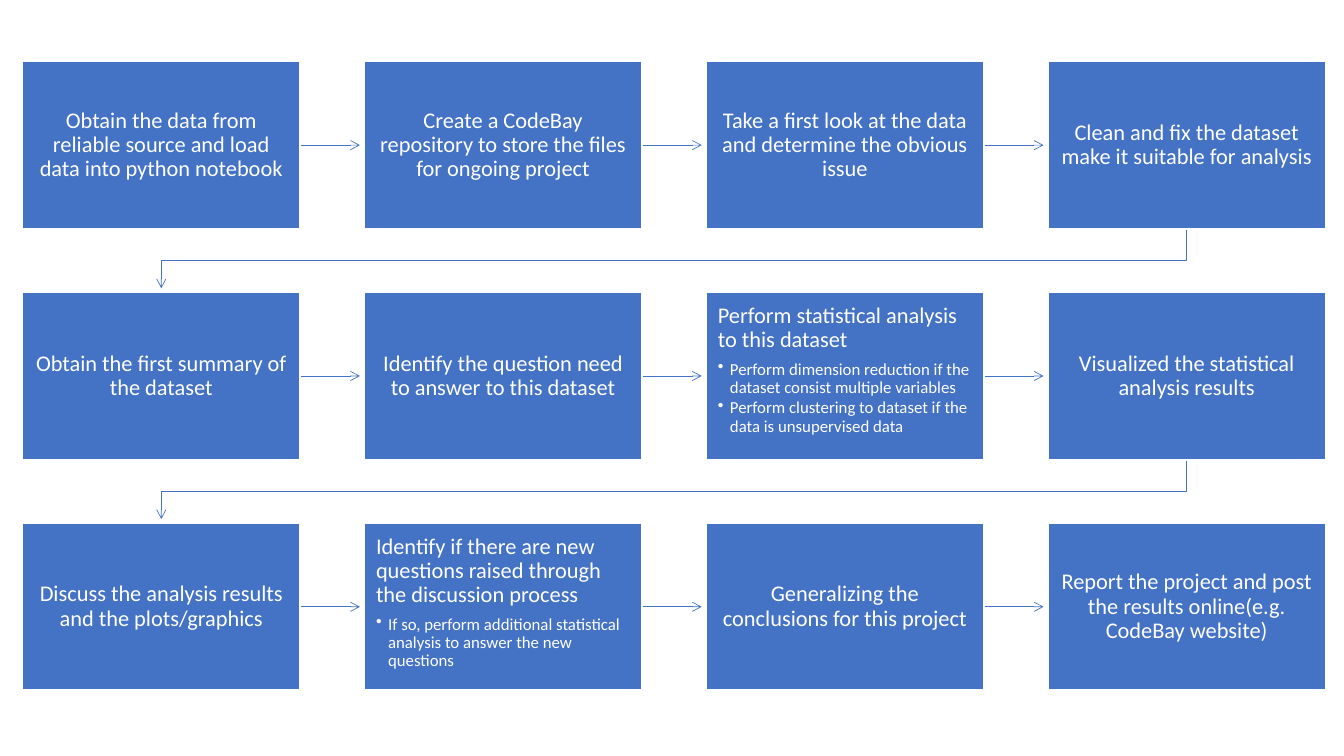
from dataclasses import dataclass

from lxml import etree
from pptx import Presentation
from pptx.dml.color import RGBColor
from pptx.enum.shapes import MSO_CONNECTOR, MSO_SHAPE
from pptx.enum.text import MSO_ANCHOR, PP_ALIGN
from pptx.oxml.ns import qn
from pptx.util import Inches, Pt

# Each step is its text and its bullet points, in reading order.
STEPS = [
    ("Obtain the data from reliable source and load data into python notebook", []),
    ("Create a CodeBay repository to store the files for ongoing project", []),
    ("Take a first look at the data and determine the obvious issue", []),
    ("Clean and fix the dataset make it suitable for analysis", []),
    ("Obtain the first summary of the dataset", []),
    ("Identify the question need to answer to this dataset", []),
    ("Perform statistical analysis to this dataset", [
        "Perform dimension reduction if the dataset consist multiple variables",
        "Perform clustering to dataset if the data is unsupervised data",
    ]),
    ("Visualized the statistical analysis results", []),
    ("Discuss the analysis results and the plots/graphics", []),
    ("Identify if there are new questions raised through the discussion process", [
        "If so, perform additional statistical analysis to answer the new questions",
    ]),
    ("Generalizing the conclusions for this project", []),
    ("Report the project and post the results online(e.g. CodeBay website)", []),
]


@dataclass(frozen=True)
class Theme:
    """Colours, font and type sizes of the slide."""
    blue: RGBColor = RGBColor(0x44, 0x72, 0xC4)
    white: RGBColor = RGBColor(0xFF, 0xFF, 0xFF)
    font: str = "Calibri"
    step_size: int = 16
    bullet_size: int = 12
    border: float = 1.5
    arrow: float = 0.5


THEME = Theme()
COLUMNS = 4
LEFT, TOP = 0.22, 0.61
BOX_W, BOX_H = 2.76, 1.66
PITCH_X, PITCH_Y = 3.39, 2.29
ARROW_GAP = 0.04
INSET = 0.12


def box_position(index):
    """Return the left and top of a step box."""
    row, column = divmod(index, COLUMNS)
    return LEFT + column * PITCH_X, TOP + row * PITCH_Y


def style_arrow(line_shape):
    """Give a connector or freeform a thin blue line with an open arrowhead."""
    line_shape.line.color.rgb = THEME.blue
    line_shape.line.width = Pt(THEME.arrow)
    etree.SubElement(line_shape.line._get_or_add_ln(), qn("a:tailEnd"), type="arrow")
    etree.SubElement(line_shape._element.spPr, qn("a:effectLst"))


def add_arrow(shapes, index):
    """Link a step to the next one, straight along a row or bent between rows."""
    x, y = box_position(index)
    next_x, next_y = box_position(index + 1)
    if next_y == y:
        middle = Inches(y + BOX_H / 2)
        arrow = shapes.add_connector(
            MSO_CONNECTOR.STRAIGHT, Inches(x + BOX_W), middle,
            Inches(next_x - ARROW_GAP), middle)
    else:
        start_x, end_x = Inches(x + BOX_W / 2), Inches(next_x + BOX_W / 2)
        bottom = y + BOX_H
        bend = Inches((bottom + next_y) / 2)
        path = shapes.build_freeform(start_x, Inches(bottom))
        path.add_line_segments(
            [(start_x, bend), (end_x, bend), (end_x, Inches(next_y - ARROW_GAP))],
            close=False)
        arrow = path.convert_to_shape()
        arrow.fill.background()
    style_arrow(arrow)


def write_paragraph(paragraph, text, size, space_share, align):
    """Fill a paragraph with white text, spaced by a share of its size."""
    paragraph.alignment = align
    paragraph.line_spacing = 0.9
    paragraph.space_before = Pt(0)
    paragraph.space_after = Pt(size * space_share)
    run = paragraph.add_run()
    run.text = text
    run.font.name = THEME.font
    run.font.size = Pt(size)
    run.font.color.rgb = THEME.white


def add_bullet(paragraph):
    """Turn a paragraph into an indented bullet point."""
    paragraph.level = 1
    properties = paragraph._p.get_or_add_pPr()
    properties.set("marL", str(Inches(INSET)))
    properties.set("indent", str(-Inches(INSET)))
    etree.SubElement(properties, qn("a:buChar"), char="•")


def add_step(shapes, index, text, bullets):
    """Draw a step box; steps with bullets read from the top left."""
    x, y = box_position(index)
    box = shapes.add_shape(
        MSO_SHAPE.RECTANGLE, Inches(x), Inches(y), Inches(BOX_W), Inches(BOX_H))
    box.shadow.inherit = False
    box.fill.solid()
    box.fill.fore_color.rgb = THEME.blue
    box.line.color.rgb = THEME.white
    box.line.width = Pt(THEME.border)

    frame = box.text_frame
    frame.word_wrap = True
    frame.margin_left = frame.margin_right = Inches(INSET)
    frame.margin_top = frame.margin_bottom = Inches(INSET)
    frame.vertical_anchor = MSO_ANCHOR.TOP if bullets else MSO_ANCHOR.MIDDLE
    align = PP_ALIGN.LEFT if bullets else PP_ALIGN.CENTER
    write_paragraph(frame.paragraphs[0], text, THEME.step_size, 0.35, align)
    for bullet in bullets:
        paragraph = frame.add_paragraph()
        write_paragraph(paragraph, bullet, THEME.bullet_size, 0.15, align)
        add_bullet(paragraph)


def main():
    """Build the process slide and save it."""
    presentation = Presentation()
    presentation.slide_width = Inches(13.33)
    presentation.slide_height = Inches(7.5)
    shapes = presentation.slides.add_slide(presentation.slide_layouts[6]).shapes
    for index, (text, bullets) in enumerate(STEPS):
        if index + 1 < len(STEPS):
            add_arrow(shapes, index)
        add_step(shapes, index, text, bullets)
    presentation.save("out.pptx")


main()
